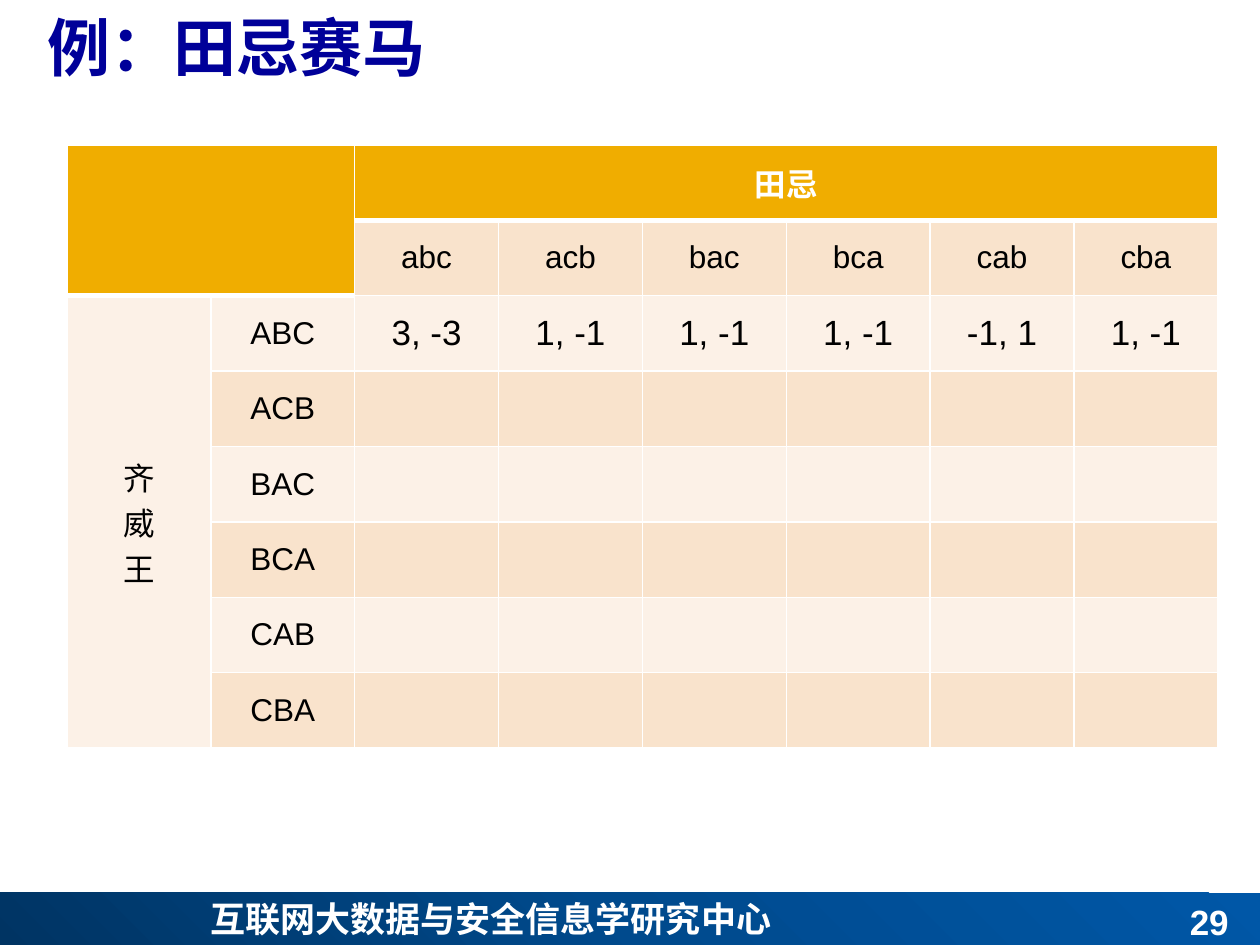
from pptx import Presentation
from pptx import util as u
from pptx.dml.color import RGBColor
from pptx.enum import shapes, text
from pptx.oxml import parse_xml
from pptx.oxml.ns import nsdecls

COLORS = {"title": "000099", "white": "FFFFFF", "black": "000000",
          "header": "F0AD00", "dark_band": "F9E3CC", "light_band": "FCF1E7"}
FOOTER_STOPS = [(0, "003463"), (50, "004A8D"), (100, "0057A7")]

TITLE = "例：田忌赛马"
FOOTER = "互联网大数据与安全信息学研究中心"
PAGE = "29"
COLUMN_PLAYER = "田忌"
ROW_PLAYER = "齐\n威\n王"
COLUMN_ORDERS = ["abc", "acb", "bac", "bca", "cab", "cba"]
ROW_ORDERS = [order.upper() for order in COLUMN_ORDERS]
PAYOFFS = {"ABC": ["3, -3", "1, -1", "1, -1", "1, -1", "-1, 1", "1, -1"]}

SIZE = 8
COL_W, ROW_H = 2.9, 1.52


def format_text(tf, size, color, bold, align, font="Arial"):
    for p in tf.paragraphs:
        p.alignment = align
        p.font.size = u.Pt(size)
        for r in p.runs:
            r.font.name = font
            r.font.size = u.Pt(size)
            r.font.bold = bold
            r.font.color.rgb = RGBColor.from_string(COLORS[color])


def add_text(s, box, content, size, color, align, anchor, font="Arial"):
    tf = s.shapes.add_textbox(*map(u.Cm, box)).text_frame
    tf.word_wrap = True
    tf.vertical_anchor = anchor
    tf.text = content
    format_text(tf, size, color, True, align, font)


def add_footer_bar(s):
    sp = s.shapes.add_shape(shapes.MSO_SHAPE.RECTANGLE, 0, u.Cm(18), u.Cm(25.4), u.Cm(1.12))
    sp.shadow.inherit = False
    sp.line.fill.background()
    stops = "".join(f'<a:gs pos="{pos * 1000}"><a:srgbClr val="{color}"/></a:gs>'
                    for pos, color in FOOTER_STOPS)
    gradient = parse_xml(
        f'<a:gradFill {nsdecls("a")} rotWithShape="1"><a:gsLst>{stops}</a:gsLst>'
        '<a:path path="circle"><a:fillToRect t="100000" r="100000"/></a:path></a:gradFill>')
    sp.element.spPr.find("{*}prstGeom").addnext(gradient)


def set_borders(cell, top, bottom):
    tcPr = cell._tc.get_or_add_tcPr()
    for side, width in (("L", 1), ("R", 1), ("T", top), ("B", bottom)):
        tcPr.append(parse_xml(
            f'<a:ln{side} {nsdecls("a")} w="{u.Pt(width)}"><a:solidFill>'
            f'<a:srgbClr val="{COLORS["white"]}"/></a:solidFill></a:ln{side}>'))


def cell_text(row, col):
    if (row, col) == (0, 2):
        return COLUMN_PLAYER
    if (row, col) == (2, 0):
        return ROW_PLAYER
    if row == 1 and col >= 2:
        return COLUMN_ORDERS[col - 2]
    if row >= 2 and col == 1:
        return ROW_ORDERS[row - 2]
    if row >= 2 and col >= 2:
        return PAYOFFS.get(ROW_ORDERS[row - 2], [""] * 6)[col - 2]
    return ""


def add_payoff_table(s):
    table = s.shapes.add_table(SIZE, SIZE, u.Cm(1.35), u.Cm(2.92),
                               u.Cm(COL_W * SIZE), u.Cm(ROW_H * SIZE)).table
    for i in range(SIZE):
        table.columns[i].width = u.Cm(COL_W)
        table.rows[i].height = u.Cm(ROW_H)
    for first, last in (((0, 0), (1, 1)), ((0, 2), (0, 7)), ((2, 0), (7, 0))):
        table.cell(*first).merge(table.cell(*last))
    for row in range(SIZE):
        for col in range(SIZE):
            cell = table.cell(row, col)
            header_end = 1 if col < 2 else 0
            header = row <= header_end
            set_borders(cell, 3 if row == header_end + 1 else 1, 3 if header else 1)
            band = "light_band" if col == 0 or row % 2 == 0 else "dark_band"
            cell.fill.solid()
            cell.fill.fore_color.rgb = RGBColor.from_string(COLORS["header" if header else band])
            cell.vertical_anchor = text.MSO_ANCHOR.MIDDLE
            cell.text_frame.text = cell_text(row, col)
            payoff = row >= 2 and col >= 2 and cell.text_frame.text
            format_text(cell.text_frame, 20 if payoff else 18,
                        "white" if header else "black", header, text.PP_ALIGN.CENTER)


def main():
    prs = Presentation()
    prs.slide_width, prs.slide_height = u.Cm(25.4), u.Cm(19.05)
    s = prs.slides.add_slide(prs.slide_layouts[6])
    align, anchor = text.PP_ALIGN, text.MSO_ANCHOR
    add_footer_bar(s)
    add_text(s, (3.99, 17.96, 17.4, 1.12), FOOTER, 20, "white",
             align.JUSTIFY, anchor.TOP, "Noto Sans CJK SC")
    add_text(s, (0.71, -0.08, 24.69, 2.01), TITLE, 36, "title", align.LEFT, anchor.MIDDLE)
    add_text(s, (19.1, 18, 5.92, 1.12), PAGE, 20, "white", align.RIGHT, anchor.BOTTOM)
    add_payoff_table(s)
    prs.save("out.pptx")


if __name__ == "__main__":
    main()
